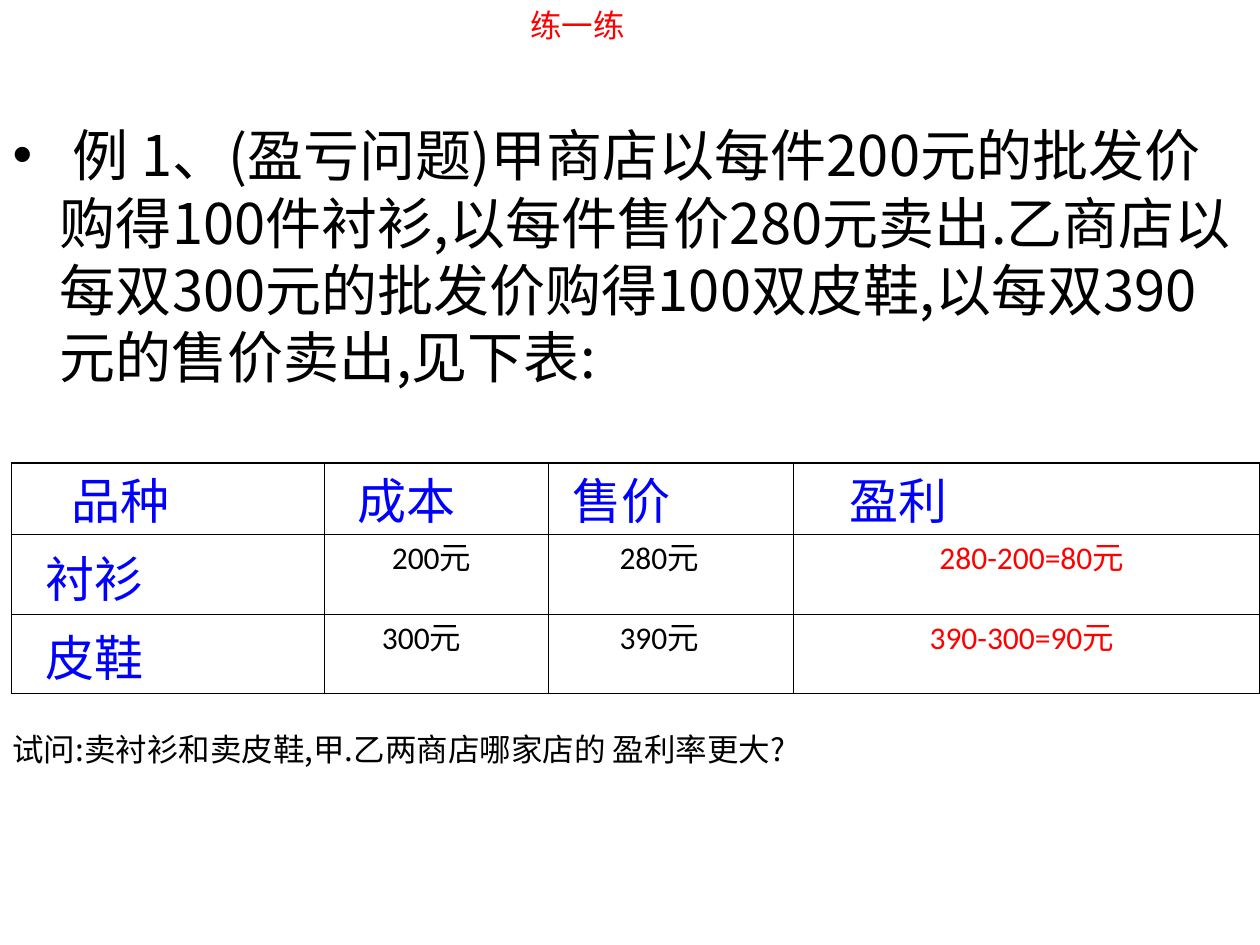
from lxml import etree
from pptx import Presentation
from pptx.dml.color import RGBColor
from pptx.enum.text import MSO_ANCHOR, MSO_AUTO_SIZE, PP_ALIGN
from pptx.oxml.ns import qn
from pptx.util import Cm, Pt

TOP, LEFT, FIXED = MSO_ANCHOR.TOP, PP_ALIGN.LEFT, MSO_AUTO_SIZE.NONE
HUES = {"black": "000000", "red": "FF0000", "blue": "0000FF"}
LATIN, HAN, ASK = "Calibri", "Noto Sans CJK SC", "Noto Sans CJK JP"
COLS = (6.3, 4.52, 4.95, 9.4)
ROWS = (1.45, 1.6, 1.6)
PADS = (0, 0.12, 0.12)
LABELS = (
    (0, 0, "品种", 0.95), (0, 1, "成本", 0.43), (0, 2, "售价", 0.23),
    (0, 3, "盈利", 0.87), (1, 0, "衬衫", 0.43), (2, 0, "皮鞋", 0.43),
)
VALUES = (
    (7.42, 2.26, "black", ("200元", "300元"), 0.2),
    (12.01, 2.26, "black", ("280元", "390元"), 0),
    (18.46, 4.37, "red", ("280-200=80元", "390-300=90元"), 0.2),
)


def write(shape, text, size, face, hue, wrap=True):
    """Fill a shape with one left-aligned paragraph."""
    frame = shape.text_frame
    frame.auto_size = FIXED
    frame.word_wrap = wrap
    frame.vertical_anchor = TOP
    frame.text = text
    style(frame.paragraphs[0], size, face, hue)


def style(para, size, face, hue):
    """Set the font and spacing of a paragraph."""
    para.alignment = LEFT
    para.space_before = Pt(0)
    font = para.font
    font.size, font.name, font.bold = Pt(size), face, False
    font.color.rgb = RGBColor.from_string(HUES[hue])


def place(shape, box):
    """Move a shape to a box given in centimetres."""
    shape.left, shape.top, shape.width, shape.height = map(Cm, box)


def add_text(slide, box, text, face, hue, wrap=True):
    """Add an 18 point text box."""
    shape = slide.shapes.add_textbox(*map(Cm, box))
    write(shape, text, 18, face, hue, wrap)


def add_title(slide, box):
    """Place the heading."""
    title = slide.shapes.title
    place(title, box)
    write(title, "练一练", 18, LATIN, "red", False)


def add_body(slide, box):
    """Place the example problem."""
    body = slide.placeholders[1]
    place(body, box)
    text = (" 例 1、(盈亏问题)甲商店以每件200元的批发价购得100件衬衫,"
            "以每件售价280元卖出.乙商店以每双300元的批发价购得100双皮鞋,"
            "以每双390元的售价卖出,见下表:")
    write(body, text, 32, HAN, "black")


def rule_cell(cell, row, col):
    """Draw the four borders of a cell, heavier on the outer edge."""
    props = cell._tc.get_or_add_tcPr()
    outer = {"lnL": col == 0, "lnR": col == len(COLS) - 1,
             "lnT": row == 0, "lnB": row == len(ROWS) - 1}
    for side, edge in outer.items():
        line = etree.SubElement(props, qn("a:" + side),
                                w=str(Pt(1.08 if edge else 0.45)))
        fill = etree.SubElement(line, qn("a:solidFill"))
        etree.SubElement(fill, qn("a:srgbClr"), val=HUES["black"])
    cell.fill.background()


def add_grid(slide, box):
    """Add the price table and the values laid over it."""
    left, top = box[:2]
    grid = slide.shapes.add_table(len(ROWS), len(COLS), *map(Cm, box)).table
    grid.first_row = grid.horz_banding = False
    for col, width in zip(grid.columns, COLS):
        col.width = Cm(width)
    for row, height in enumerate(ROWS):
        grid.rows[row].height = Cm(height)
        for col in range(len(COLS)):
            cell = grid.cell(row, col)
            cell.margin_top, cell.margin_bottom = Cm(PADS[row]), Cm(0)
            rule_cell(cell, row, col)
    for row, col, text, indent in LABELS:
        cell = grid.cell(row, col)
        cell.text = text
        para = cell.text_frame.paragraphs[0]
        para._p.get_or_add_pPr().set("marL", str(Cm(indent)))
        style(para, 28, HAN, "blue")
    for x, width, hue, texts, shift in VALUES:
        for row, text in enumerate(texts):
            spot = (left + x - shift * row, top + 1.4 + 1.6 * row, width, 1.02)
            add_text(slide, spot, text, LATIN, hue, False)


def main():
    """Build the practice slide."""
    deck = Presentation()
    deck.slide_width, deck.slide_height = Cm(25.4), Cm(19.05)
    slide = deck.slides.add_slide(deck.slide_layouts[1])
    add_title(slide, (10.44, 0, 2.6, 1.02))
    add_body(slide, (0, 2.31, 25.4, 5.74))
    add_grid(slide, (0.23, 9.33, sum(COLS), sum(ROWS)))
    add_text(slide, (0, 14.6, 25.4, 1.02),
             "试问:卖衬衫和卖皮鞋,甲.乙两商店哪家店的 盈利率更大?", ASK, "black")
    deck.save("out.pptx")


if __name__ == "__main__":
    main()
